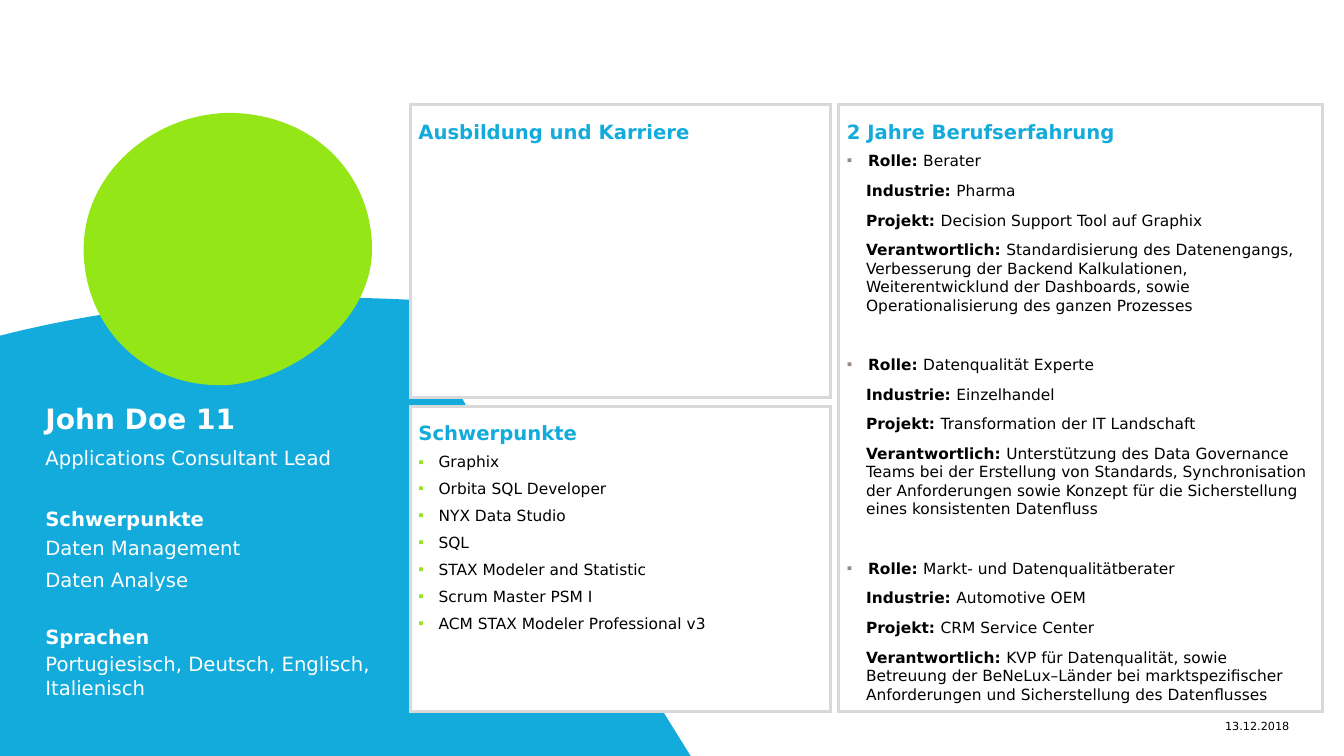
from lxml.etree import SubElement
from pptx import Presentation
from pptx.dml.color import RGBColor
from pptx.enum.shapes import MSO_SHAPE
from pptx.enum.text import MSO_ANCHOR, PP_ALIGN
from pptx.oxml.ns import qn
from pptx.util import Inches, Pt

FONT = "DejaVu Sans"
BULLET_FONT = "Arial"
COLORS = {"blue": "12ABDB", "green": "95E616", "white": "FFFFFF",
          "border": "D9D9D9", "black": "000000", "bullet": "998C85"}

# Each outline is a start point and segments: one point is a line, three a curve
WAVE = ((3.1, 2.95), [
    [(3.46, 2.95), (3.82, 2.96), (4.18, 2.98)],
    [(4.49, 4.11), (5.57, 5.49), (6.54, 7)],
    [(6.85, 7.5)], [(0, 7.5)], [(0, 3.33)],
    [(0.98, 3.08), (2.03, 2.96), (3.1, 2.95)],
])
PORTRAIT = ((0.83, 2.47), [
    [(0.83, 1.73), (1.5, 1.14), (2.26, 1.12)],
    [(3.11, 1.12), (3.69, 1.73), (3.69, 2.47)],
    [(3.69, 3.22), (2.87, 3.77), (2.26, 3.82)],
    [(1.41, 3.86), (0.83, 3.22), (0.83, 2.47)],
])

# Heading, left, top, width, height
PANELS = [
    ("2 Jahre Berufserfahrung", 8.32, 1.04, 4.8, 6.02),
    ("Ausbildung und Karriere", 4.07, 1.04, 4.17, 2.9),
    ("Schwerpunkte", 4.07, 4.03, 4.17, 3.03),
]
HEADING_HEIGHT = 0.45
PANEL_PADDING = 0.08

# Lines, top, height, size, is heading
PROFILE_LEFT, PROFILE_WIDTH = 0.45, 3.31
PROFILE = [
    (["John Doe 11"], 3.94, 0.45, 20, True),
    (["Applications Consultant Lead"], 4.42, 0.59, 14, False),
    (["Schwerpunkte"], 4.93, 0.36, 14, True),
    (["Daten Management", "Daten Analyse"], 5.32, 0.32, 14, False),
    (["Sprachen"], 6.1, 0.36, 14, True),
    (["Portugiesisch, Deutsch, Englisch, Italienisch"], 6.47, 0.59, 14, False),
]
SKILLS = ["Graphix", "Orbita SQL Developer", "NYX Data Studio", "SQL",
          "STAX Modeler and Statistic", "Scrum Master PSM I",
          "ACM STAX Modeler Professional v3"]
PROJECT_LABELS = ["Rolle:", "Industrie:", "Projekt:", "Verantwortlich:"]
PROJECTS = [
    ("Berater", "Pharma", "Decision Support Tool auf Graphix",
     "Standardisierung des Datenengangs, Verbesserung der Backend Kalkulationen, "
     "Weiterentwicklund der Dashboards, sowie Operationalisierung des ganzen Prozesses"),
    ("Datenqualität Experte", "Einzelhandel", "Transformation der IT Landschaft",
     "Unterstützung des Data Governance Teams bei der Erstellung von Standards, "
     "Synchronisation der Anforderungen sowie Konzept für die Sicherstellung "
     "eines konsistenten Datenfluss"),
    ("Markt- und Datenqualitätberater", "Automotive OEM", "CRM Service Center",
     "KVP für Datenqualität, sowie Betreuung der BeNeLux–Länder bei "
     "marktspezifischer Anforderungen und Sicherstellung des Datenflusses"),
]
PROJECT_GAP = 23
DATE = "13.12.2018"


def rgb(name):
    return RGBColor.from_string(COLORS[name])


def add_outline(slide, outline, color):
    """Draw the segment ends as a freeform, then bend the curved segments."""
    start, segments = outline
    builder = slide.shapes.build_freeform(Inches(start[0]), Inches(start[1]))
    builder.add_line_segments(
        [(Inches(x), Inches(y)) for x, y in (segment[-1] for segment in segments)],
        close=True)
    shape = builder.convert_to_shape()
    line_elements = list(shape._element.iter(qn("a:lnTo")))
    for element, segment in zip(line_elements, segments):
        if len(segment) == 3:
            element.tag = qn("a:cubicBezTo")
            for index, (x, y) in enumerate(segment[:-1]):
                control = SubElement(element, qn("a:pt"), x=str(Inches(x) - shape.left),
                                     y=str(Inches(y) - shape.top))
                element.insert(index, control)
    shape.shadow.inherit = False
    shape.fill.solid()
    shape.fill.fore_color.rgb = rgb(color)
    shape.line.fill.background()


def add_panel(slide, left, top, width, height):
    panel = slide.shapes.add_shape(MSO_SHAPE.RECTANGLE, Inches(left), Inches(top),
                                   Inches(width), Inches(height))
    panel.shadow.inherit = False
    panel.fill.solid()
    panel.fill.fore_color.rgb = rgb("white")
    panel.line.color.rgb = rgb("border")
    panel.line.width = Pt(2.25)
    SubElement(panel._element.spPr.find(qn("a:ln")), qn("a:miter"), lim="800000")


def add_text_box(slide, left, top, width, height, anchor=MSO_ANCHOR.TOP):
    box = slide.shapes.add_textbox(Inches(left), Inches(top), Inches(width), Inches(height))
    frame = box.text_frame
    frame.word_wrap = True
    frame.vertical_anchor = anchor
    frame.margin_left = frame.margin_right = frame.margin_top = frame.margin_bottom = 0
    return frame


def add_line(frame, runs, size, color, before=0, after=6):
    """Add a paragraph of (text, bold) runs, using the empty first one if free."""
    first = frame.paragraphs[0]
    is_first = not first.runs
    paragraph = first if is_first else frame.add_paragraph()
    paragraph.space_before = Pt(0 if is_first else before)
    paragraph.space_after = Pt(after)
    for text, bold in runs:
        run = paragraph.add_run()
        run.text = text
        run.font.name = FONT
        run.font.size = Pt(size)
        run.font.bold = bold
        run.font.color.rgb = rgb(color)
    return paragraph


def add_heading(slide, text, left, top, width, height, size, color):
    frame = add_text_box(slide, left, top, width, height, MSO_ANCHOR.MIDDLE)
    add_line(frame, [(text, True)], size, color).line_spacing = Pt(22)


def indent(paragraph, margin, bullet_color=None):
    """Indent the paragraph; with a colour, hang a square bullet in the margin."""
    properties = paragraph._p.get_or_add_pPr()
    properties.set("marL", str(Inches(margin)))
    properties.set("indent", str(-Inches(margin) if bullet_color else 0))
    if bullet_color:
        color = SubElement(properties, qn("a:buClr"))
        SubElement(color, qn("a:srgbClr"), val=COLORS[bullet_color])
        SubElement(properties, qn("a:buFont"), typeface=BULLET_FONT)
        SubElement(properties, qn("a:buChar"), char="▪")


def main():
    presentation = Presentation()
    presentation.slide_width = Inches(13.33)
    presentation.slide_height = Inches(7.5)
    slide = presentation.slides.add_slide(presentation.slide_layouts[6])

    add_outline(slide, WAVE, "blue")
    add_outline(slide, PORTRAIT, "green")

    for heading, left, top, width, height in PANELS:
        add_panel(slide, left, top, width, height)
        add_heading(slide, heading, left + PANEL_PADDING, top, 4.33, HEADING_HEIGHT,
                    14, "blue")

    for lines, top, height, size, is_heading in PROFILE:
        area = (PROFILE_LEFT, top, PROFILE_WIDTH, height)
        if is_heading:
            add_heading(slide, lines[0], *area, size, "white")
        else:
            frame = add_text_box(slide, *area)
            for line in lines:
                add_line(frame, [(line, False)], size, "white")

    projects = add_text_box(slide, 8.4, 1.5, 4.57, 5.56)
    for project in PROJECTS:
        for label, value in zip(PROJECT_LABELS, project):
            opens = label == PROJECT_LABELS[0]
            paragraph = add_line(projects, [(label + " ", True), (value, False)], 11,
                                 "black", before=PROJECT_GAP if opens else 2)
            indent(paragraph, 0.21 if opens else 0.19, "bullet" if opens else None)

    skills = add_text_box(slide, 4.15, 4.49, 4.17, 2.57)
    for skill in SKILLS:
        indent(add_line(skills, [(skill, False)], 11, "black"), 0.2, "green")

    date = add_text_box(slide, 9.89, 7.08, 2.9, 0.24, MSO_ANCHOR.MIDDLE)
    add_line(date, [(DATE, False)], 8, "black", after=0).alignment = PP_ALIGN.RIGHT

    presentation.save("out.pptx")


if __name__ == "__main__":
    main()
